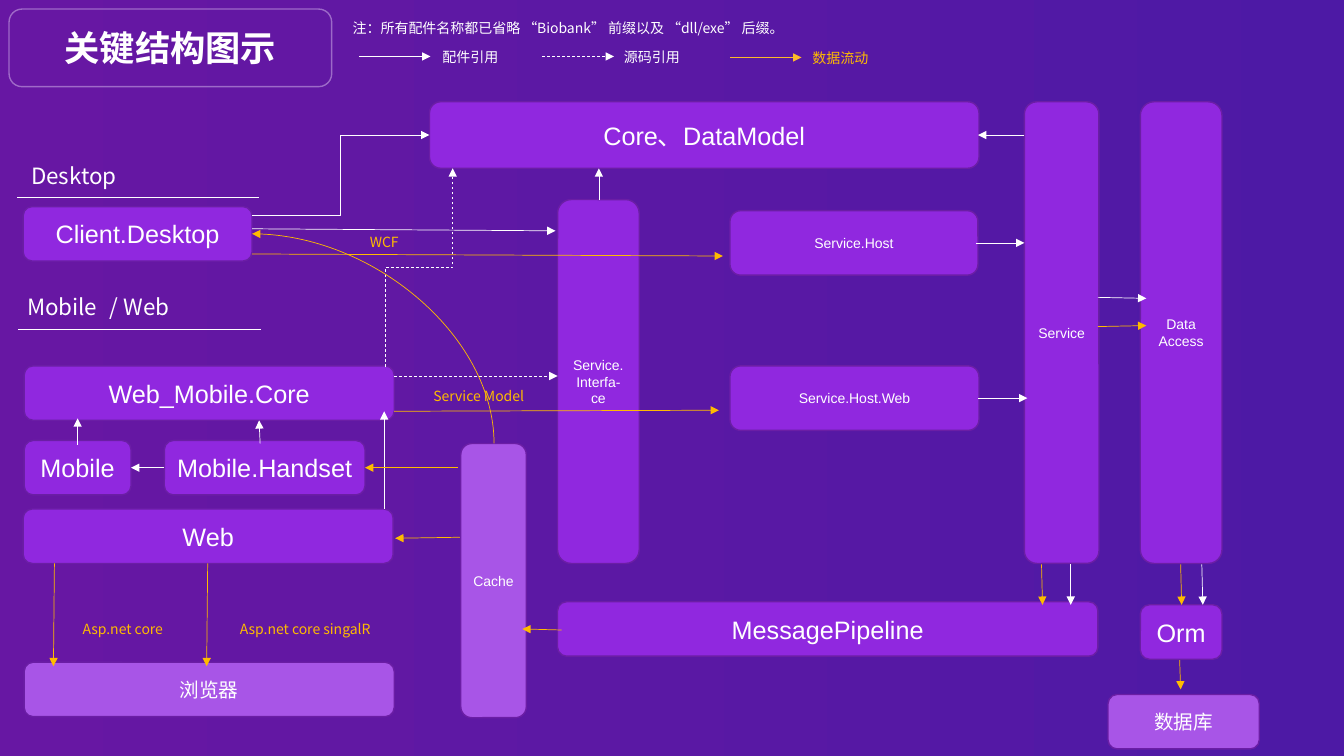
from lxml.etree import SubElement
from pptx import Presentation
from pptx.dml.color import RGBColor
from pptx.enum.dml import MSO_LINE
from pptx.enum.shapes import MSO_CONNECTOR, MSO_SHAPE
from pptx.enum.text import MSO_ANCHOR, PP_ALIGN
from pptx.oxml.ns import qn
from pptx.util import Inches, Pt

WHITE, GOLD, LEGEND_GOLD = "FFFFFF", "FFBB00", "FCB92A"
PURPLE, LILAC, EDGE = "9028DF", "A855E7", "6B1EA5"
LATIN, CHINESE = "Arial", "Noto Sans CJK SC"
STRAIGHT, ELBOW, CURVE = MSO_CONNECTOR.STRAIGHT, MSO_CONNECTOR.ELBOW, MSO_CONNECTOR.CURVE


def paint(color_format, color):
    color_format.rgb = RGBColor.from_string(color)


def write(frame, text, size, font, color=WHITE, align=PP_ALIGN.CENTER, bold=False):
    for index, line in enumerate(text.split("\n")):
        paragraph = frame.add_paragraph() if index else frame.paragraphs[0]
        paragraph.alignment = align
        run = paragraph.add_run()
        run.text = line
        run.font.size, run.font.name, run.font.bold = Pt(size), font, bold
        paint(run.font.color, color)
        SubElement(run._r.get_or_add_rPr(), qn("a:ea")).set("typeface", CHINESE)


# Slide and background
presentation = Presentation()
presentation.slide_width, presentation.slide_height = Inches(13.33), Inches(7.5)
slide = presentation.slides.add_slide(presentation.slide_layouts[5])
background = slide.background.fill
background.gradient()
background.gradient_angle = 0
for stop, color in zip(background.gradient_stops, ("6717A3", "4D19A5")):
    paint(stop.color, color)

# Title in its outlined frame
title_area = [Inches(value) for value in (0.09, 0.09, 3.2, 0.77)]
title = slide.shapes.title
title.left, title.top, title.width, title.height = title_area
title.text_frame.vertical_anchor = MSO_ANCHOR.MIDDLE
write(title.text_frame, "关键结构图示", 25.2, LATIN, bold=True)
title_frame = slide.shapes.add_shape(MSO_SHAPE.ROUNDED_RECTANGLE, *title_area)
title_frame.shadow.inherit = False
title_frame.fill.background()
title_frame.line.width = Pt(1)
paint(title_frame.line.color, "E9D4F9")
line_color = title_frame.line._ln.find(".//" + qn("a:srgbClr"))
SubElement(line_color, qn("a:alpha")).set("val", "43000")

# Component boxes: text, size, fill, left, top, width, height
components = [
    ("Client.Desktop", 18, PURPLE, 0.23, 2.05, 2.27, 0.54),
    ("Web_Mobile.Core", 18, PURPLE, 0.24, 3.63, 3.67, 0.54),
    ("Mobile", 18, PURPLE, 0.24, 4.37, 1.06, 0.54),
    ("Mobile.Handset", 18, PURPLE, 1.63, 4.37, 1.99, 0.54),
    ("Web", 18, PURPLE, 0.23, 5.05, 3.67, 0.54),
    ("浏览器", 14, LILAC, 0.24, 6.57, 3.67, 0.54),
    ("Core、DataModel", 18, PURPLE, 4.26, 1.01, 5.45, 0.66),
    ("Service.\nInterfa-ce", 10, PURPLE, 5.53, 1.98, 0.81, 3.61),
    ("Service.Host", 10, PURPLE, 7.24, 2.09, 2.46, 0.64),
    ("Service.Host.Web", 10, PURPLE, 7.24, 3.63, 2.47, 0.64),
    ("Service", 10, PURPLE, 10.16, 1.01, 0.74, 4.58),
    ("Data\nAccess", 10, PURPLE, 11.31, 1.01, 0.81, 4.58),
    ("Orm", 18, PURPLE, 11.31, 6, 0.81, 0.54),
    ("数据库", 14, LILAC, 10.99, 6.89, 1.5, 0.54),
    ("MessagePipeline", 18, PURPLE, 5.53, 5.97, 5.36, 0.54),
    ("Cache", 10, LILAC, 4.57, 4.4, 0.65, 2.72),
]
for text, size, fill, left, top, width, height in components:
    box = slide.shapes.add_shape(MSO_SHAPE.ROUNDED_RECTANGLE, *map(Inches, (left, top, width, height)))
    box.shadow.inherit = False
    box.fill.solid()
    paint(box.fill.fore_color, fill)
    paint(box.line.color, EDGE)
    box.line.width = Pt(1)
    frame = box.text_frame
    frame.word_wrap = True
    frame.vertical_anchor = MSO_ANCHOR.MIDDLE
    # The narrowest box needs its full width to keep its word on one line
    frame.margin_left = frame.margin_right = Inches(0.1 if width > 0.7 else 0)
    write(frame, text, size, LATIN)

# Labels: text, size, color, wraps, left, top, width, height
labels = [
    ("注：所有配件名称都已省略 “Biobank” 前缀以及 “dll/exe” 后缀。", 10, WHITE, False, 3.4, 0.14, 4.55, 0.27),
    ("配件引用", 10, WHITE, False, 4.29, 0.43, 0.76, 0.27),
    ("源码引用", 10, WHITE, False, 6.09, 0.43, 0.76, 0.27),
    ("数据流动", 10, GOLD, False, 7.96, 0.44, 0.76, 0.27),
    ("Desktop", 16, WHITE, True, 0.21, 1.56, 1.24, 0.37),
    ("Mobile", 16, WHITE, True, 0.17, 2.86, 1.24, 0.37),
    ("/ Web", 16, WHITE, True, 0.99, 2.86, 1.24, 0.37),
    ("WCF", 10, GOLD, False, 3.57, 2.27, 0.51, 0.27),
    ("Service Model", 10, GOLD, False, 4.2, 3.8, 1.14, 0.27),
    ("Asp.net core", 10, GOLD, True, 0.72, 6.11, 1.05, 0.27),
    ("Asp.net core singalR", 10, GOLD, True, 2.28, 6.11, 1.61, 0.27),
]
for text, size, color, wraps, *area in labels:
    label = slide.shapes.add_textbox(*map(Inches, area))
    label.text_frame.word_wrap = wraps
    write(label.text_frame, text, size, CHINESE, color, PP_ALIGN.LEFT)

# Lines by style: color, dashed, arrowhead, kind, leaves vertically, start and end points
line_groups = [
    # Heading rules
    (WHITE, False, False, STRAIGHT, False, [(0.17, 1.96, 2.57, 1.96), (0.18, 3.27, 2.59, 3.27)]),
    # Assembly references
    (WHITE, False, True, STRAIGHT, False, [
        (3.56, 0.56, 4.27, 0.56), (2.5, 2.27, 5.51, 2.29), (1.63, 4.64, 1.3, 4.64),
        (0.77, 4.41, 0.77, 4.15), (2.58, 4.4, 2.57, 4.17), (3.81, 5.05, 3.81, 4.08),
        (5.94, 1.98, 5.94, 1.67), (10.16, 1.34, 9.7, 1.34), (9.68, 2.41, 10.16, 2.41),
        (9.7, 3.95, 10.19, 3.95), (10.89, 2.95, 11.37, 2.96), (11.92, 5.6, 11.93, 6),
        (10.62, 5.6, 10.62, 6)]),
    (WHITE, False, True, ELBOW, False, [(2.5, 2.14, 4.26, 1.34)]),
    # Source references
    (WHITE, True, True, STRAIGHT, False, [(5.38, 0.56, 6.09, 0.56), (3.91, 3.73, 5.53, 3.73)]),
    (WHITE, True, True, ELBOW, True, [(3.82, 3.64, 4.49, 1.67)]),
    # Data flow
    (LEGEND_GOLD, False, True, STRAIGHT, False, [(7.24, 0.57, 7.95, 0.57)]),
    (GOLD, False, True, STRAIGHT, False, [
        (2.5, 2.52, 7.17, 2.54), (3.91, 4.08, 7.13, 4.07), (0.54, 5.59, 0.53, 6.61),
        (2.06, 5.59, 2.05, 6.61), (10.89, 3.24, 11.37, 3.23), (11.71, 5.6, 11.72, 6),
        (11.7, 6.55, 11.71, 6.84), (10.33, 5.6, 10.34, 6), (5.57, 6.25, 5.18, 6.24),
        (4.56, 5.33, 3.92, 5.34), (4.54, 4.64, 3.62, 4.64)]),
    (GOLD, False, True, CURVE, True, [(4.9, 4.4, 2.5, 2.32)]),
]
for color, dashed, arrowhead, kind, vertical, routes in line_groups:
    for x1, y1, x2, y2 in routes:
        if vertical:  # lay the route on its side, then turn it by 270 degrees
            cx, cy = (x1 + x2) / 2, (y1 + y2) / 2
            x1, y1, x2, y2 = cx + cy - y1, cy + x1 - cx, cx + cy - y2, cy + x2 - cx
        connector = slide.shapes.add_connector(kind, *map(Inches, (x1, y1, x2, y2)))
        properties = connector._element.spPr
        if vertical:
            properties.find(qn("a:xfrm")).set("rot", "16200000")
        if kind == CURVE:
            properties.find(qn("a:prstGeom")).set("prst", "curvedConnector2")
        paint(connector.line.color, color)
        connector.line.width = Pt(0.5)
        if dashed:
            connector.line.dash_style = MSO_LINE.DASH
        if arrowhead:
            SubElement(properties.find(qn("a:ln")), qn("a:tailEnd")).set("type", "triangle")
        SubElement(properties, qn("a:effectLst"))

presentation.save("out.pptx")
